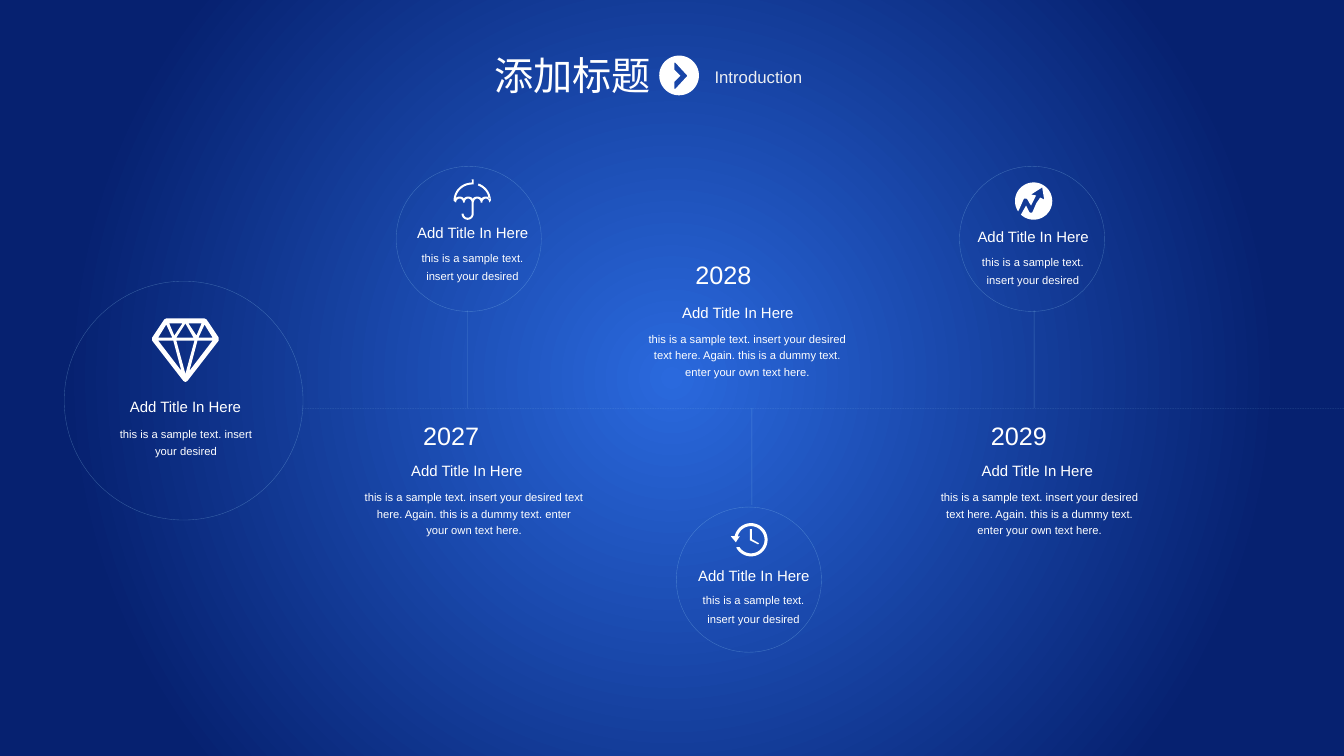
from math import cos, radians, sin

from lxml import etree
from pptx import Presentation
from pptx.dml.color import RGBColor
from pptx.enum.dml import MSO_LINE
from pptx.enum.shapes import MSO_CONNECTOR, MSO_SHAPE
from pptx.enum.text import MSO_AUTO_SIZE, PP_ALIGN
from pptx.oxml.ns import qn
from pptx.util import Pt

LEFT, CENTER = PP_ALIGN.LEFT, PP_ALIGN.CENTER
DASH = MSO_LINE.DASH
ELLIPSE, STRAIGHT = MSO_SHAPE.OVAL, MSO_CONNECTOR.STRAIGHT
FIT_SHAPE = MSO_AUTO_SIZE.SHAPE_TO_FIT_TEXT

AXIS_Y = 291.6
HEADING = "Add Title In Here"
SHORT_TEXT = "this is a sample text. insert your desired"
LONG_TEXT = ("this is a sample text. insert your desired text here. Again. "
             "this is a dummy text. enter your own text here.")


def color(hex_code):
    return RGBColor.from_string(hex_code)


def arc(cx, cy, rx, ry, start, end):
    """Points on an ellipse between two angles, clockwise from the right."""
    steps = max(8, int(abs(end - start) / 6))
    angles = [radians(start + (end - start) * i / steps) for i in range(steps + 1)]
    return [(cx + rx * cos(a), cy + ry * sin(a)) for a in angles]


def umbrella():
    scallops = [6, 14.5, 23.5, 32]
    outline = arc(18.5, 21, 18.5, 18, 180, 270)
    outline += [(18, 0), (20, 0), (20, 5), (18, 5)]
    outline += arc(18.5, 21, 16.5, 16, 270, 187)
    for x in scallops:
        outline += arc(x, 20, 4.5, 3, 200, 340)
    outline += arc(18.5, 21, 16.5, 16, 353, 290)
    outline += arc(18.5, 21, 18.5, 18, 290, 360)
    for x in reversed(scallops):
        outline += arc(x, 23, 3.5, 4, 360, 180)
        if x == 23.5:
            outline += [(20, 23)] + arc(14, 34, 6, 6, 0, 180)
            outline += arc(14, 34, 4, 4, 180, 0) + [(18, 23)]
    return [outline]


# Icon outlines are in hundredths of an inch from the icon's top left corner.
CHEVRON_DISC = [
    arc(19.7, 19.7, 19.7, 19.7, 0, 354),
    [(15, 7), (16, 7), (28, 20), (16, 33), (15, 33), (15, 26), (21, 20), (15, 14)],
]
DIAMOND = [
    [(66, 19), (54, 1), (52, 0), (14, 0), (12, 1), (0, 19), (0, 22),
     (31, 62), (33, 63), (35, 62), (66, 22)],
    [(42, 22), (33, 55), (24, 22)], [(24, 19), (33, 5), (41, 19)],
    [(36, 5), (49, 5), (44, 17)], [(22, 17), (17, 5), (30, 5)],
    [(29, 52), (6, 22), (21, 22)], [(45, 22), (60, 22), (37, 52)],
    [(60, 19), (46, 19), (52, 6)], [(14, 6), (20, 19), (6, 19)],
]
GROWTH = [
    arc(18.5, 18.5, 18.5, 18.5, 146, 493)
    + [(11, 23), (12, 25), (13, 27), (14, 29), (15, 30), (17, 30), (18, 28),
       (21, 21), (25, 15), (29, 17), (27, 5), (16, 12), (21, 13), (16, 23),
       (14, 20), (13, 18), (12, 16.5), (11, 16), (9, 16), (8, 18), (5, 25)],
]
CLOCK = [
    arc(20, 16.5, 16.5, 16.5, 193, 513) + arc(20, 16.5, 13.5, 13.5, 507, 194)
    + [(9, 13), (5, 19), (0, 13)],
    [(19, 6), (19, 17), (27, 21), (28, 20), (21, 16), (21, 6)],
]


class TimelineSlide:
    white, pale, outline = "FFFFFF", "EBEEF2", "A4E2FE"
    font, outline_width, outline_alpha = "Arial", 0.25, 30

    def __init__(self, slide):
        self.slide = slide
        self.shapes = slide.shapes

    def background(self, inner, outer, reach):
        """Radial gradient from the centre of the slide."""
        fill = self.slide.background.fill
        fill.gradient()
        for stop, shade, position in zip(fill.gradient_stops, (inner, outer), (0, reach)):
            stop.color.rgb = color(shade)
            stop.position = position
        linear = next(self.slide.element.iter(qn("a:lin")))
        radial = etree.Element(qn("a:path"), path="circle")
        etree.SubElement(radial, qn("a:fillToRect"),
                         {side: "50000" for side in "ltrb"})
        linear.getparent().replace(linear, radial)

    def text(self, content, left, top, width, height, size=8, align=CENTER,
             shade=white, wrap=True, spacing=None):
        box = self.shapes.add_textbox(Pt(left), Pt(top), Pt(width), Pt(height))
        frame = box.text_frame
        frame.word_wrap = wrap
        frame.auto_size = FIT_SHAPE
        paragraph = frame.paragraphs[0]
        paragraph.alignment = align
        if spacing:
            paragraph.line_spacing = Pt(spacing)
        run = paragraph.add_run()
        run.text = content
        run.font.name = self.font
        run.font.size = Pt(size)
        run.font.color.rgb = color(shade)

    def heading(self, left, top, align=CENTER):
        self.text(HEADING, left, top, 95, 20.2, size=10.7, align=align, wrap=False)

    def thin_line(self, line):
        """Apply the faint outline style."""
        line.width = Pt(self.outline_width)
        line.color.rgb = color(self.outline)
        shade = line.fill._xPr.find(".//" + qn("a:srgbClr"))
        etree.SubElement(shade, qn("a:alpha"), val=str(self.outline_alpha * 1000))

    def ring(self, left, top, diameter):
        ring = self.shapes.add_shape(ELLIPSE, Pt(left), Pt(top), Pt(diameter), Pt(diameter))
        ring.shadow.inherit = False
        ring.fill.background()
        self.thin_line(ring.line)

    def rule(self, x1, y1, x2, y2, dash=None):
        rule = self.shapes.add_connector(STRAIGHT, Pt(x1), Pt(y1), Pt(x2), Pt(y2))
        self.thin_line(rule.line)
        if dash:
            rule.line.dash_style = dash
        etree.SubElement(rule._element.spPr, qn("a:effectLst"))

    def icon(self, contours, left, top):
        placed = [[(Pt(left + x * 0.72), Pt(top + y * 0.72)) for x, y in contour]
                  for contour in contours]
        builder = self.shapes.build_freeform(*placed[0][0])
        for contour in placed:
            builder.move_to(*contour[0])
            builder.add_line_segments(contour[1:], close=True)
        icon = builder.convert_to_shape()
        icon.shadow.inherit = False
        icon.fill.solid()
        icon.fill.fore_color.rgb = color(self.white)
        icon.line.fill.background()

    def milestone(self, ring, heading, icon, icon_at, stem_x, stem_end):
        self.ring(*ring, 103.7)
        self.heading(*heading)
        left, top = heading
        self.text(SHORT_TEXT, left - 3.4, top + 15.8, 101.5, 32.4, spacing=13.3)
        self.icon(icon, *icon_at)
        self.rule(stem_x, AXIS_Y, stem_x, stem_end)

    def year_note(self, year, year_at, heading, body_left, body_width):
        self.text(year, *year_at, 56.9, 28.8, size=18, align=LEFT, wrap=False)
        self.heading(*heading, align=LEFT)
        self.text(LONG_TEXT, body_left, heading[1] + 18, body_width, 43.9, spacing=12)


def main():
    deck = Presentation()
    deck.slide_width, deck.slide_height = Pt(960), Pt(540)
    page = TimelineSlide(deck.slides.add_slide(deck.slide_layouts[6]))
    page.background("2A69DD", "062170", 0.79)

    page.icon(CHEVRON_DISC, 470.9, 39.7)
    page.text("Introduction", 503.3, 43.9, 114.5, 21.6, size=12, align=LEFT,
              shade=page.pale)
    page.text("添加标题", 314.6, 33.1, 188.6, 41, size=28)

    page.rule(216, AXIS_Y, 960, AXIS_Y, dash=DASH)
    page.ring(45.9, 200.9, 170.6)
    page.icon(DIAMOND, 108.7, 227.5)
    page.heading(85, 280.1)
    page.text(SHORT_TEXT, 74.2, 299.5, 117.4, 31.7, spacing=12)

    page.year_note("2027", (295.2, 296.6), (286.6, 326.2), 253.4, 170.6)
    page.year_note("2029", (700.6, 296.6), (694.1, 326.2), 659.5, 166.3)
    page.year_note("2028", (489.6, 181.4), (480.2, 213.1), 452.2, 163.4)

    page.milestone((283, 118.8), (290.2, 156.2), umbrella(), (324, 128.2), 334.1, 221.8)
    page.milestone((685.4, 118.8), (690.5, 159.1), GROWTH, (725, 130.3), 738.7, 221.8)
    page.milestone((483.1, 362.2), (491, 401), CLOCK, (522, 373.7), 537.1, 360.7)

    deck.save("out.pptx")


if __name__ == "__main__":
    main()
